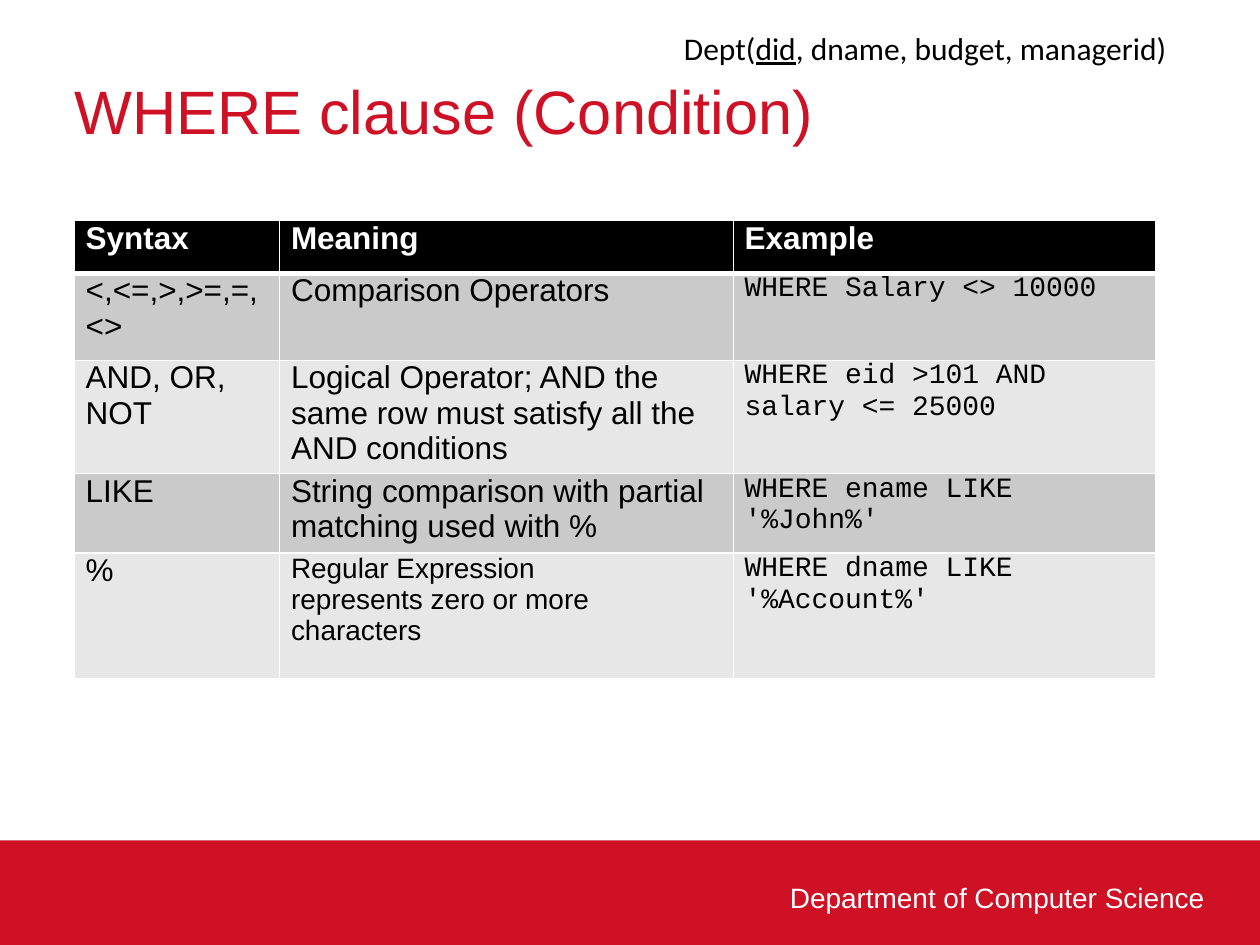
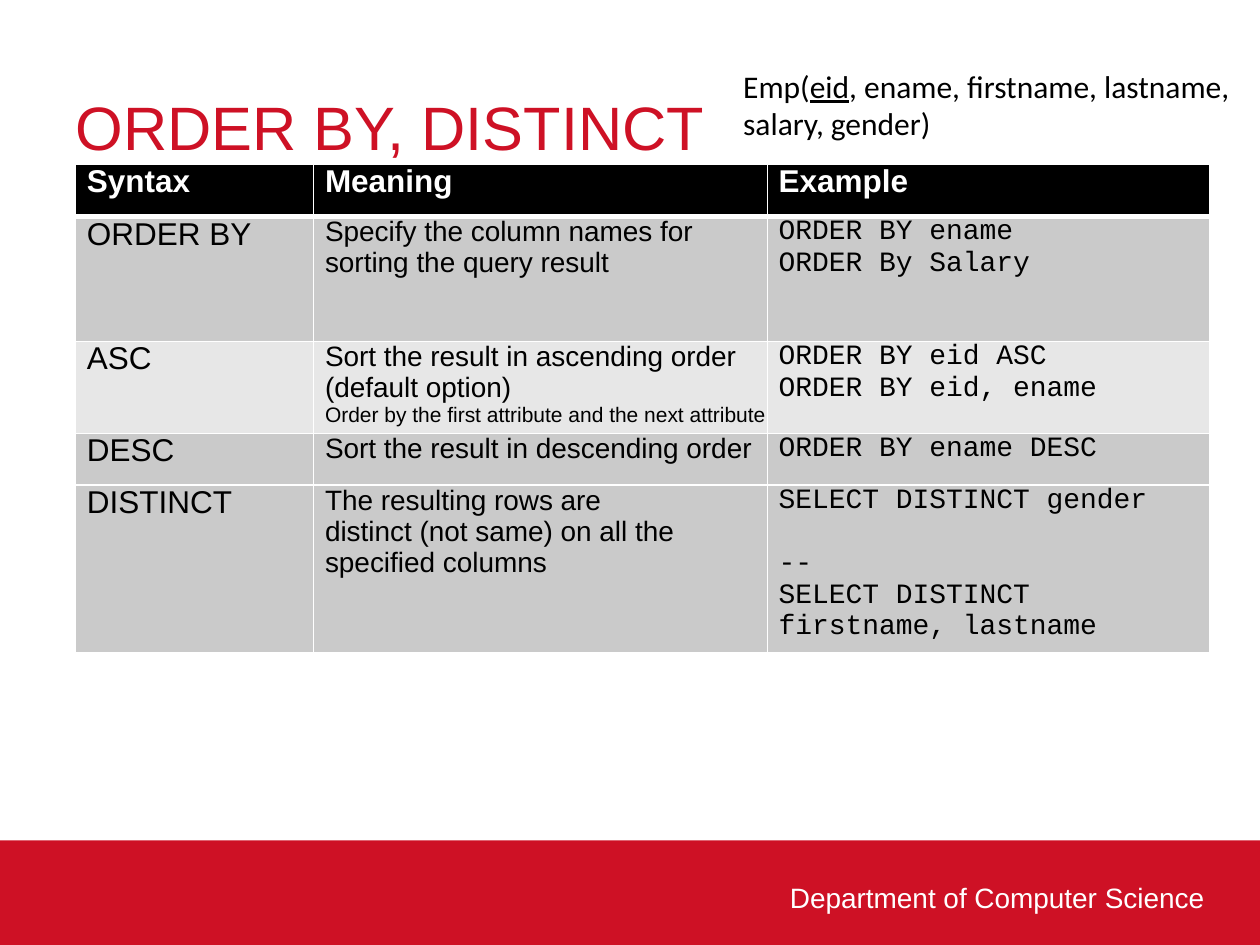
"""Two slides on SQL clauses, laid out on a grid of 100 columns by 75 rows."""
from lxml import etree
from pptx import Presentation, util as u
from pptx.dml.color import RGBColor
from pptx.enum import shapes, text
from pptx.oxml import ns

RED = RGBColor(0xCE, 0x11, 0x25)
WHITE = RGBColor(0xFF, 0xFF, 0xFF)
BLACK = RGBColor(0, 0, 0)
DARK = RGBColor(0xCA, 0xCA, 0xCA)
LIGHT = RGBColor(0xE7, 0xE7, 0xE7)
SANS, MONO, NOTE = "Arial", "Courier New", "Calibri"
COLS, ROWS = 100, 75
UNIT = u.Inches(0.1)
HEADS = ("Syntax", "Meaning", "Example")

# Each row: syntax, meaning, example, size of meaning, right pad of meaning.
WHERE = [
    ("<,<=,>,>=,=,\n<>", "Comparison Operators", "WHERE Salary <> 10000", 18, 0),
    ("AND, OR,\nNOT",
     "Logical Operator; AND the same row must satisfy all the AND conditions",
     "WHERE eid >101 AND\nsalary <= 25000", 18, 2),
    ("LIKE", "String comparison with partial matching used with %",
     "WHERE ename LIKE '%John%'", 18, 0),
    ("%", "Regular Expression represents zero or more characters",
     "WHERE dname LIKE '%Account%'", 16, 8),
]
ORDER = [
    ("ORDER BY", "Specify the column names for sorting the query result",
     "ORDER BY ename\nORDER By Salary", 16, 0),
    ("ASC", "Sort the result in ascending order (default option)\n"
     "Order by the first attribute and the next attribute",
     "ORDER BY eid ASC\nORDER BY eid, ename", 16, 0),
    ("DESC", "Sort the result in descending order", "ORDER BY ename DESC", 16, 0),
    ("DISTINCT",
     "The resulting rows are distinct (not same) on all the specified columns",
     "SELECT DISTINCT gender\n--\nSELECT DISTINCT firstname, lastname", 16, 6.6),
]


def grid(*cells):
    """Turn grid counts into slide lengths."""
    return [round(n * UNIT) for n in cells]


def style(para, size, face=SANS, color=BLACK, bold=False):
    """Format every run of a paragraph."""
    for run in para.runs:
        font = run.font
        font.size, font.name, font.bold = u.Pt(size), face, bold
        font.color.rgb = color


def bare(frame):
    """Wrap the text and strip the margins of a frame."""
    frame.word_wrap = True
    frame.auto_size = text.MSO_AUTO_SIZE.NONE
    frame.vertical_anchor = text.MSO_ANCHOR.TOP
    frame.margin_left = frame.margin_right = 0
    frame.margin_top = frame.margin_bottom = 0


def title(slide, words, left, top):
    """Fill and place the title."""
    box = slide.shapes.title
    box.left, box.top, box.width, box.height = grid(left, top, 88.3, 5.9)
    frame = box.text_frame
    bare(frame)
    frame.text = words
    para = frame.paragraphs[0]
    para.alignment = text.PP_ALIGN.LEFT
    style(para, 35, color=RED)


def footer(slide):
    """Draw the red band with the department name."""
    band = slide.shapes.add_shape(shapes.MSO_SHAPE.RECTANGLE,
                                  *grid(0, ROWS - 8.3, COLS, 8.3))
    band.shadow.inherit = False
    band.fill.solid()
    band.fill.fore_color.rgb = RED
    band.line.fill.background()
    frame = slide.shapes.add_textbox(*grid(62.7, 69.9, 33.3, 2.5)).text_frame
    bare(frame)
    frame.text = "Department of Computer Science"
    style(frame.paragraphs[0], 16, color=WHITE)


def schema(slide, left, top, high, name, key, rest):
    """Write a relation with its key underlined."""
    frame = slide.shapes.add_textbox(*grid(left, top, 41.7, high)).text_frame
    frame.word_wrap = True
    para = frame.paragraphs[0]
    for part in (name + "(", key, rest + ")"):
        run = para.add_run()
        run.text = part
        run.font.underline = part == key
    style(para, 18, NOTE)


def edge(cell, side, width):
    """Draw one white border of a cell."""
    props = cell._tc.get_or_add_tcPr()
    line = etree.SubElement(props, ns.qn("a:ln" + side), w=str(u.Pt(width)))
    fill = etree.SubElement(line, ns.qn("a:solidFill"))
    etree.SubElement(fill, ns.qn("a:srgbClr"), val=str(WHITE))


def put(cell, words, fill, size, face=SANS, color=BLACK, bold=False, pad=0,
        top=1, base=1):
    """Fill one table cell, its borders and its text."""
    for side, width in (("L", 1), ("R", 1), ("T", top), ("B", base)):
        edge(cell, side, width)
    cell.fill.solid()
    cell.fill.fore_color.rgb = fill
    cell.margin_left, cell.margin_right = grid(0.9, pad)
    cell.margin_top = cell.margin_bottom = 0
    cell.text_frame.text = words
    for para in cell.text_frame.paragraphs:
        style(para, size, face, color, bold)
        if para.text == "--":
            para.space_before = u.Pt(18)


def table(slide, left, top, wide, high, data, fills):
    """Build a table of syntax, meaning and example."""
    frame = slide.shapes.add_table(len(high), len(wide),
                                   *grid(left, top, sum(wide), sum(high)))
    tab = frame.table
    for col, size in zip(tab.columns, grid(*wide)):
        col.width = size
    for row, size in zip(tab.rows, grid(*high)):
        row.height = size
    for c, head in enumerate(HEADS):
        put(tab.cell(0, c), head, BLACK, 18, color=WHITE, bold=True, base=3)
    for r, (row, fill) in enumerate(zip(data, fills), 1):
        syntax, sense, code, size, pad = row
        top = 3 if r == 1 else 1
        put(tab.cell(r, 0), syntax, fill, 18, top=top)
        put(tab.cell(r, 1), sense, fill, size, pad=pad, top=top)
        put(tab.cell(r, 2), code, fill, 16, MONO, top=top)
    return tab


def main():
    """Build both slides and save them."""
    deck = Presentation()
    deck.slide_width, deck.slide_height = grid(COLS, ROWS)
    first, second = (deck.slides.add_slide(deck.slide_layouts[5]) for _ in range(2))

    title(first, "WHERE clause (Condition)", 5.9, 5.8)
    footer(first)
    table(first, 5.9, 17.5, (16.3, 36, 33.5), (4.2, 6.9, 9, 6.3, 10),
          WHERE, (DARK, LIGHT, DARK, LIGHT))
    schema(first, 53.3, 1.8, 4, "Dept", "did", ", dname, budget, managerid")

    title(second, "ORDER BY, DISTINCT", 6, 7.1)
    footer(second)
    tab = table(second, 6, 13, (18.9, 36, 35.1), (4.2, 9.9, 7.3, 4.1, 13.3),
                ORDER, (DARK, LIGHT, DARK, DARK))
    style(tab.cell(2, 1).text_frame.paragraphs[1], 12)
    schema(second, 58, 4.8, 7.1, "Emp", "eid",
           ", ename, firstname, lastname, salary, gender")

    deck.save("out.pptx")


if __name__ == "__main__":
    main()
